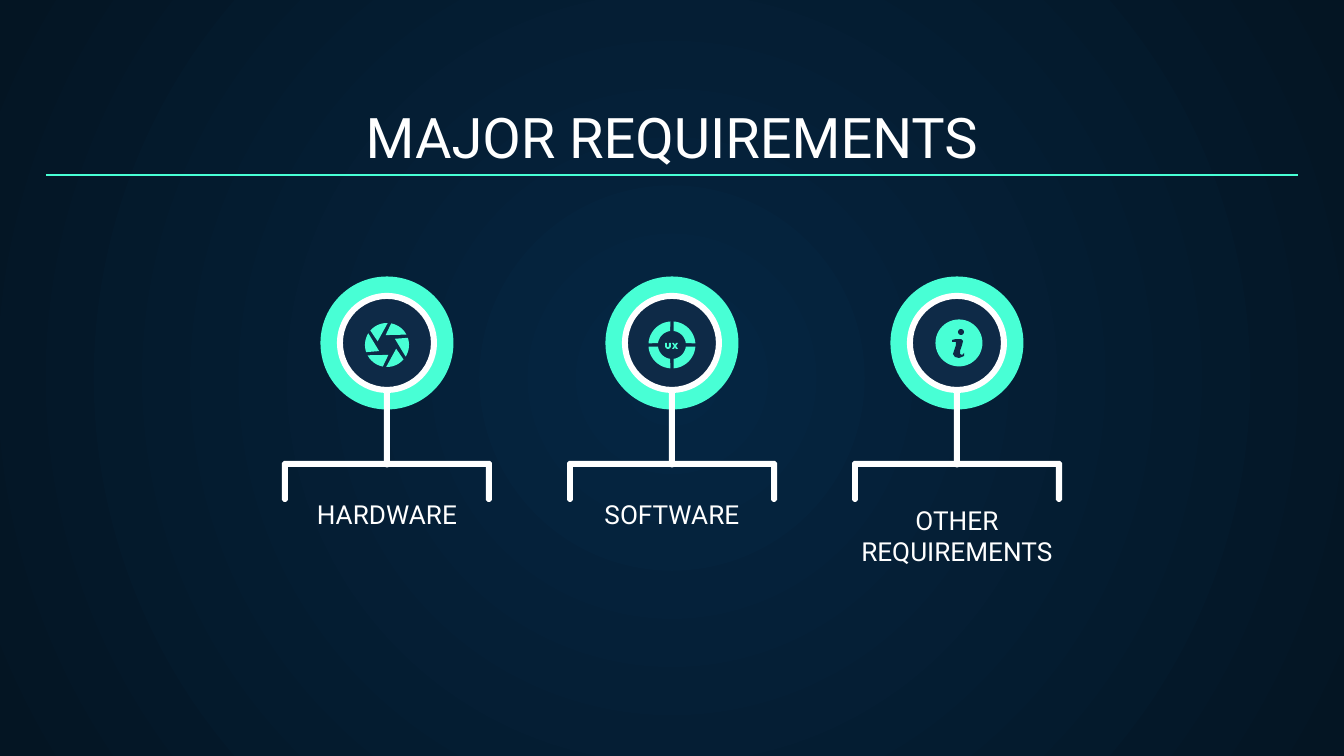
import math

import pptx
import pptx.dml.color
import pptx.enum.dml
import pptx.enum.shapes
import pptx.enum.text
import pptx.oxml
import pptx.oxml.ns
import pptx.util

COLORS = {
    "mint": "48FFD5",
    "navy": "0E2A47",
    "white": "FFFFFF",
    "glow": "052643",
    "edge": "041523",
}
EMU_PER_PX = 914400 / 134.4
SHAPES = pptx.enum.shapes.MSO_SHAPE

BRACKET = [
    (-105, 39), (-105, 2), (-103, 0), (103, 0), (105, 2), (105, 39),
    (103, 41), (101, 41), (99, 39), (99, 6), (-99, 6), (-99, 39),
    (-101, 41), (-103, 41),
]
LETTER_U = [
    (-7, -2), (-5, -2), (-5, 2), (-3, 2), (-3, -2), (-1, -2),
    (-1, 2), (-3, 4), (-5, 4), (-7, 2),
]
LETTER_X = [
    (0, -2), (2, -2), (3, 0), (4, -2), (6, -2), (4, 1),
    (6, 4), (4, 4), (3, 2), (2, 4), (0, 4), (2, 1),
]
INFO_STEM = [
    (-7, -3), (-3, -4), (2, -4), (4, -2), (3, 2), (1, 8), (1, 11),
    (3, 12), (5, 10), (5, 13), (0, 15), (-4, 14), (-6, 11), (-3, 2),
    (-3, -1), (-7, -1),
]


def px(length):
    return pptx.util.Emu(round(length * EMU_PER_PX))


def rgb(name):
    return pptx.dml.color.RGBColor.from_string(COLORS[name])


def arc(radius, start, end, steps=12):
    """Points on a circle around the origin, angles in degrees."""
    angles = [math.radians(start + (end - start) * i / steps) for i in range(steps + 1)]
    return [(radius * math.cos(a), radius * math.sin(a)) for a in angles]


class SlideArtist:
    font_name = "Roboto"

    def __init__(self, page):
        self.page = page

    def background(self, inner, outer):
        fill = self.page.background.fill
        fill.gradient()
        for stop, name in zip(fill.gradient_stops, (inner, outer)):
            stop.color.rgb = rgb(name)
        gradient = self.page._element.find(".//" + pptx.oxml.ns.qn("a:gradFill"))
        gradient.remove(gradient.find(pptx.oxml.ns.qn("a:lin")))
        gradient.append(pptx.oxml.parse_xml(
            f'<a:path {pptx.oxml.ns.nsdecls("a")} path="circle">'
            '<a:fillToRect l="50000" t="50000" r="50000" b="50000"/></a:path>'))

    def set_text(self, box, text, size):
        frame = box.text_frame
        frame.text = text
        frame.word_wrap = True
        frame.auto_size = pptx.enum.text.MSO_AUTO_SIZE.NONE
        frame.vertical_anchor = pptx.enum.text.MSO_ANCHOR.BOTTOM
        frame.margin_left = frame.margin_right = px(14)
        frame.margin_top = frame.margin_bottom = px(13)
        para = frame.paragraphs[0]
        para.alignment = pptx.enum.text.PP_ALIGN.CENTER
        para.font.name = self.font_name
        para.font.size = pptx.util.Pt(size)
        para.font.color.rgb = rgb("white")

    def title(self, text, left, top, width, height):
        box = self.page.shapes.title
        box.left, box.top, box.width, box.height = map(px, (left, top, width, height))
        self.set_text(box, text, 30)

    def label(self, text, center_x, top, height):
        width = 305
        box = self.page.shapes.add_textbox(
            px(center_x - width / 2), px(top), px(width), px(height))
        self.set_text(box, text, 14)

    def paint(self, shape, color):
        shape.shadow.inherit = False
        shape.fill.solid()
        shape.fill.fore_color.rgb = rgb(color)
        shape.line.fill.background()

    def centered(self, kind, x, y, width, height, color):
        """Preset shape placed by its middle."""
        shape = self.page.shapes.add_shape(
            kind, px(x - width / 2), px(y - height / 2), px(width), px(height))
        self.paint(shape, color)
        return shape

    def disc(self, x, y, diameter, color):
        return self.centered(SHAPES.OVAL, x, y, diameter, diameter, color)

    def outline(self, x, y, points, color):
        """Closed polygon whose points are relative to (x, y)."""
        places = [(px(x + dx), px(y + dy)) for dx, dy in points]
        builder = self.page.shapes.build_freeform(*places[0], scale=1.0)
        builder.add_line_segments(places[1:], close=True)
        self.paint(builder.convert_to_shape(), color)

    def rule(self, left, right, y):
        line = self.page.shapes.add_connector(
            pptx.enum.shapes.MSO_CONNECTOR.STRAIGHT, px(left), px(y), px(right), px(y))
        line.line.color.rgb = rgb("mint")
        line.line.width = pptx.util.Pt(0.75)
        line._element.spPr.append(pptx.oxml.parse_xml(
            f'<a:effectLst {pptx.oxml.ns.nsdecls("a")}/>'))

    def badge(self, x, y):
        """Ringed disc with a stem down to its bracket."""
        self.outline(x, y + 118, BRACKET, "white")
        self.disc(x, y, 133, "mint")
        stem = self.centered(SHAPES.ROUNDED_RECTANGLE, x, y + 57, 6, 135, "white")
        stem.adjustments[0] = 0.5
        self.disc(x, y, 94, "navy")
        ring = self.centered(SHAPES.DONUT, x, y, 100, 100, "white")
        ring.adjustments[0] = 0.06

    def aperture_icon(self, x, y):
        for turn in range(0, 360, 60):
            blade = arc(22, turn - 79, turn - 28) + arc(10, turn - 98, turn - 98, 1)[:1]
            self.outline(x, y, blade, "mint")

    def ux_icon(self, x, y):
        for turn in range(0, 360, 90):
            quarter = arc(23.5, turn + 4, turn + 86) + arc(14, turn + 83, turn + 7)
            self.outline(x, y, quarter, "mint")
        for letter in (LETTER_U, LETTER_X):
            self.outline(x, y, letter, "mint")

    def info_icon(self, x, y):
        self.disc(x, y, 47, "mint")
        self.disc(x + 2, y - 11, 6, "navy")
        self.outline(x, y, INFO_STEM, "navy")


def main():
    deck = pptx.Presentation()
    deck.slide_width, deck.slide_height = px(1344), px(756)
    artist = SlideArtist(deck.slides.add_slide(deck.slide_layouts[5]))
    artist.background("glow", "edge")
    artist.title("MAJOR REQUIREMENTS", 46, 94, 1252, 89)

    badge_y = 343
    requirements = [
        ("HARDWARE", 515, 28, artist.aperture_icon, 0, 2),
        ("SOFTWARE", 515, 28, artist.ux_icon, 0, 2),
        ("OTHER REQUIREMENTS", 481, 99, artist.info_icon, 2, 0),
    ]
    for column, (text, top, height, draw_icon, dx, dy) in enumerate(requirements):
        center_x = 387 + 285 * column
        artist.label(text, center_x, top, height)
        artist.badge(center_x, badge_y)
        draw_icon(center_x + dx, badge_y + dy)

    artist.rule(46, 1298, 175)
    deck.save("out.pptx")


if __name__ == "__main__":
    main()
